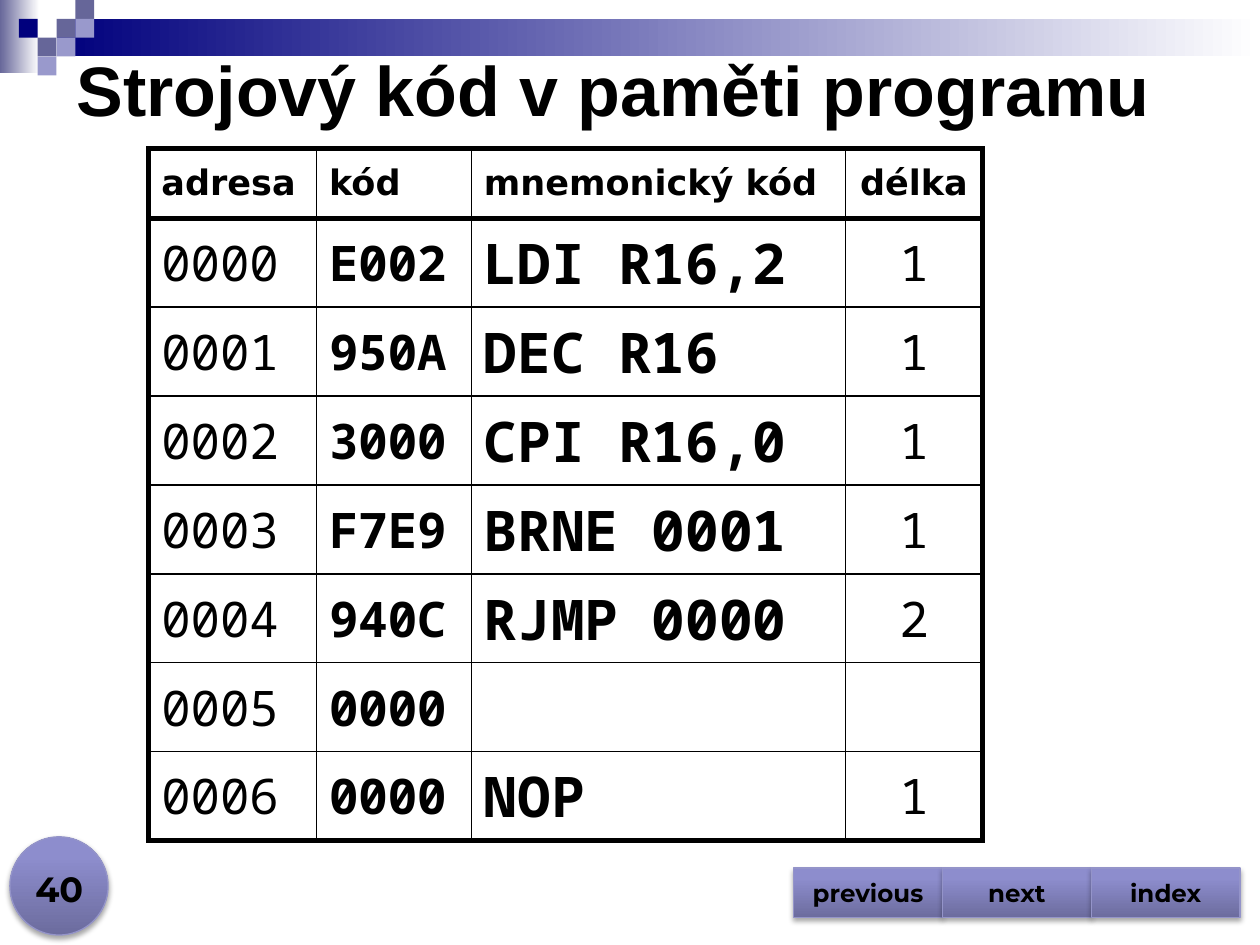
from dataclasses import dataclass
from lxml import etree
from pptx import Presentation
from pptx.dml import color
from pptx.enum import shapes, text
from pptx.oxml import ns
from pptx.util import Cm, Pt

BLACK = "000000"
LAVENDER = "9999CC"
SLATE = "666699"
NAVY = "00007D"
BUTTON_STOPS = [(0, "6C6C9E"), (80, "8D8DCD"), (100, "8C8CCF")]
GRID = 0.38  # side of one corner square, cm
LEFT, CENTER = text.PP_ALIGN.LEFT, text.PP_ALIGN.CENTER


@dataclass
class Box:
    left: float
    top: float
    width: float
    height: float

    def lengths(self) -> tuple:
        return Cm(self.left), Cm(self.top), Cm(self.width), Cm(self.height)


@dataclass
class Style:
    font: str
    size: int
    bold: bool = True
    align: text.PP_ALIGN = LEFT


@dataclass
class Column:
    heading: str
    width: float
    style: Style
    values: list


def rgb(hex_color: str) -> color.RGBColor:
    return color.RGBColor.from_string(hex_color)


def sub(parent, tag: str, **attributes):
    return etree.SubElement(parent, ns.qn(tag), {k: str(v) for k, v in attributes.items()})


def write(frame, words: str, style: Style) -> None:
    frame.text = words
    paragraph = frame.paragraphs[0]
    paragraph.alignment = style.align
    for run in paragraph.runs:
        run.font.name = style.font
        run.font.size = Pt(style.size)
        run.font.bold = style.bold
        run.font.color.rgb = rgb(BLACK)


def add_solid(slide, box: Box, fill: str):
    shape = slide.shapes.add_shape(shapes.MSO_SHAPE.RECTANGLE, *box.lengths())
    shape.shadow.inherit = False
    shape.fill.solid()
    shape.fill.fore_color.rgb = rgb(fill)
    shape.line.fill.background()
    return shape


def add_gradient(slide, kind, box: Box, stops: list, degrees: int):
    shape = slide.shapes.add_shape(kind, *box.lengths())
    shape.shadow.inherit = False
    shape.line.fill.background()
    shape.fill.gradient()
    gradient = shape.fill._fill._gradFill
    for child in list(gradient):
        gradient.remove(child)
    stop_list = sub(gradient, "a:gsLst")
    for position, hex_color in stops:
        stop = sub(stop_list, "a:gs", pos=position * 1000)
        sub(stop, "a:srgbClr", val=hex_color)
    sub(gradient, "a:lin", ang=degrees * 60000, scaled=0)
    return shape


def add_button(slide, kind, box: Box):
    button = add_gradient(slide, kind, box, BUTTON_STOPS, 270)
    button.line.color.rgb = rgb("9494C9")
    button.line.width = Pt(0.75)
    effects = button._element.spPr.find(ns.qn("a:effectLst"))
    shadow = sub(effects, "a:outerShdw", blurRad=Pt(3.1), dist=Pt(1.8),
                 dir=90 * 60000, rotWithShape=0)
    sub(sub(shadow, "a:srgbClr", val=BLACK), "a:alpha", val=35000)
    return button


def add_text(slide, box: Box, words: str, style: Style, anchor) -> None:
    frame = slide.shapes.add_textbox(*box.lengths()).text_frame
    frame.word_wrap = True
    frame.vertical_anchor = anchor
    write(frame, words, style)


def set_borders(cell, widths: dict) -> None:
    properties = cell._tc.get_or_add_tcPr()
    for side, width in widths.items():
        line = sub(properties, f"a:ln{side}", w=Pt(width))
        sub(sub(line, "a:solidFill"), "a:srgbClr", val=BLACK)
    cell.fill.background()


def add_code_table(slide, left: float, top: float, columns: list) -> None:
    header_height, row_height = 1.4, 1.79
    last_row, last_column = len(columns[0].values), len(columns) - 1
    box = Box(left, top, sum(c.width for c in columns), header_height + last_row * row_height)
    table = slide.shapes.add_table(last_row + 1, len(columns), *box.lengths()).table
    table.first_row = table.horz_banding = False
    for r in range(last_row + 1):
        table.rows[r].height = Cm(row_height if r else header_height)
    for c, column in enumerate(columns):
        table.columns[c].width = Cm(column.width)
        heading_style = Style("DejaVu Sans", 20, align=column.style.align)
        for r, words in enumerate([column.heading, *column.values]):
            cell = table.cell(r, c)
            cell.vertical_anchor = text.MSO_ANCHOR.MIDDLE
            write(cell.text_frame, words, column.style if r else heading_style)
            # Thick outline and header rule, thin inner grid
            set_borders(cell, {
                "L": 3 if c == 0 else 1,
                "R": 3 if c == last_column else 1,
                "T": 3 if r <= 1 else 1,
                "B": 3 if r in (0, last_row) else 1,
            })


def main() -> None:
    prs = Presentation()
    prs.slide_width, prs.slide_height = Cm(25.4), Cm(19.05)
    slide = prs.slides.add_slide(prs.slide_layouts[6])
    rectangle = shapes.MSO_SHAPE.RECTANGLE

    # Header band and corner squares (column, row, colour)
    add_gradient(slide, rectangle, Box(0, 0, 0.79, 1.47), [(0, SLATE), (100, "FFFFFF")], 0)
    add_gradient(slide, rectangle, Box(3 * GRID, GRID, 24.26, 2 * GRID),
                 [(0, NAVY), (100, "FFFFFF")], 0)
    squares = [(3, 1, SLATE), (4, 0, SLATE), (4, 1, LAVENDER), (2, 2, SLATE),
               (1, 1, NAVY), (3, 2, LAVENDER), (2, 3, LAVENDER)]
    for column, row, fill in squares:
        add_solid(slide, Box(column * GRID, row * GRID, GRID, GRID), fill)

    # Program memory table
    mono = "Noto Sans Mono"
    add_code_table(slide, 3, 3, [
        Column("adresa", 3.38, Style(mono, 28, False), [f"{n:04}" for n in range(7)]),
        Column("kód", 3.12, Style(mono, 28),
               ["E002", "950A", "3000", "F7E9", "940C", "0000", "0000"]),
        Column("mnemonický kód", 7.54, Style(mono, 32),
               ["LDI R16,2", "DEC R16", "CPI R16,0", "BRNE 0001", "RJMP 0000", "", "NOP"]),
        Column("délka", 2.77, Style(mono, 28, False, CENTER),
               ["1", "1", "1", "1", "2", "", "1"]),
    ])

    # Slide number
    add_button(slide, shapes.MSO_SHAPE.OVAL, Box(0.2, 16.87, 1.98, 1.98))
    add_text(slide, Box(0, 17.2, 2.39, 1.27), "40",
             Style("Montserrat", 20, align=CENTER), text.MSO_ANCHOR.BOTTOM)

    # Navigation buttons
    for i, label in enumerate(["previous", "next", "index"]):
        button = add_button(slide, shapes.MSO_SHAPE.ACTION_BUTTON_CUSTOM,
                            Box(16 + 3 * i, 17.5, 3, 1))
        button.text_frame.vertical_anchor = text.MSO_ANCHOR.MIDDLE
        write(button.text_frame, label, Style("Montserrat", 14, align=CENTER))

    # Title
    add_text(slide, Box(1.3, 0.79, 23.11, 2), "Strojový kód v paměti programu",
             Style("Arial", 40), text.MSO_ANCHOR.MIDDLE)

    prs.save("out.pptx")


if __name__ == "__main__":
    main()
